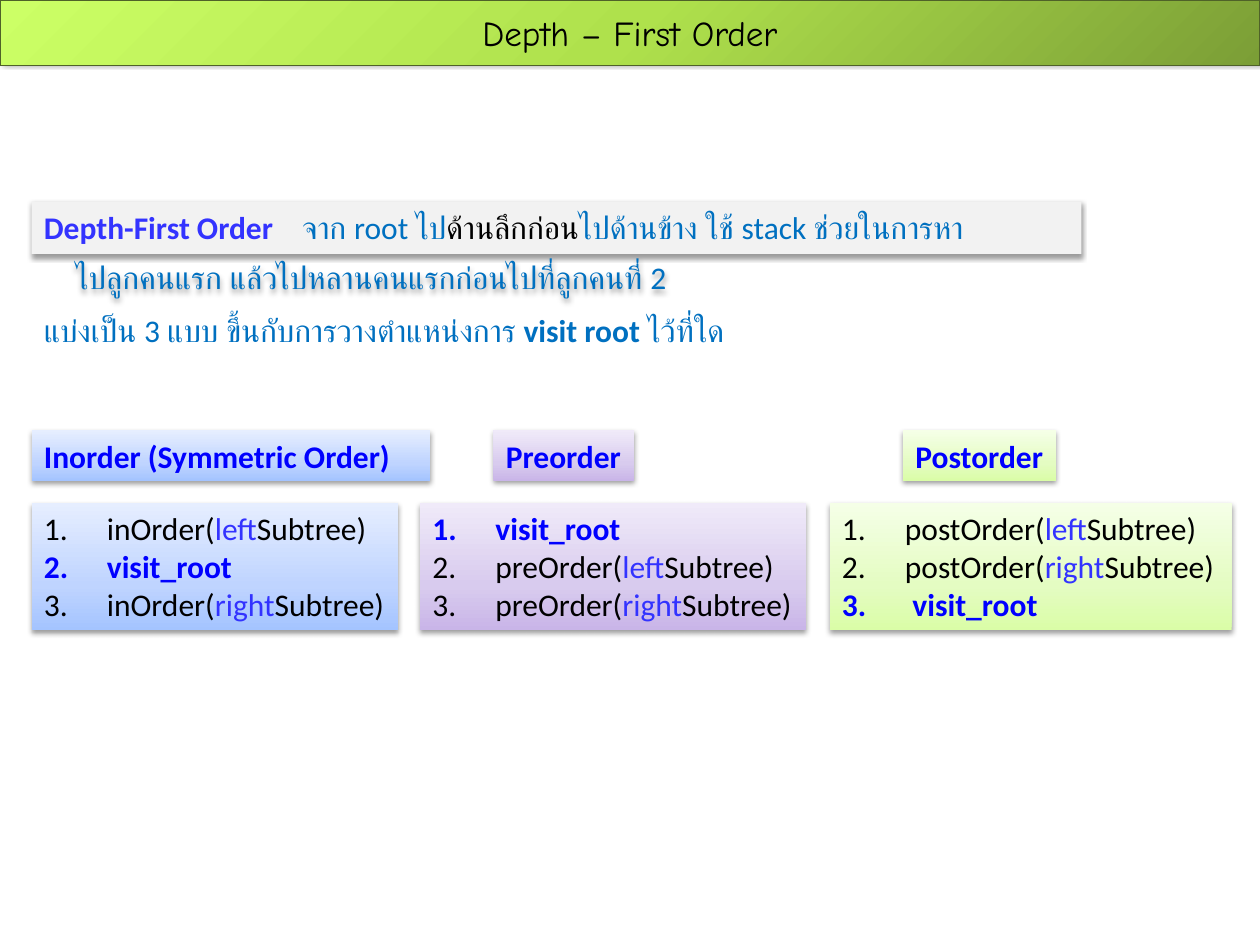
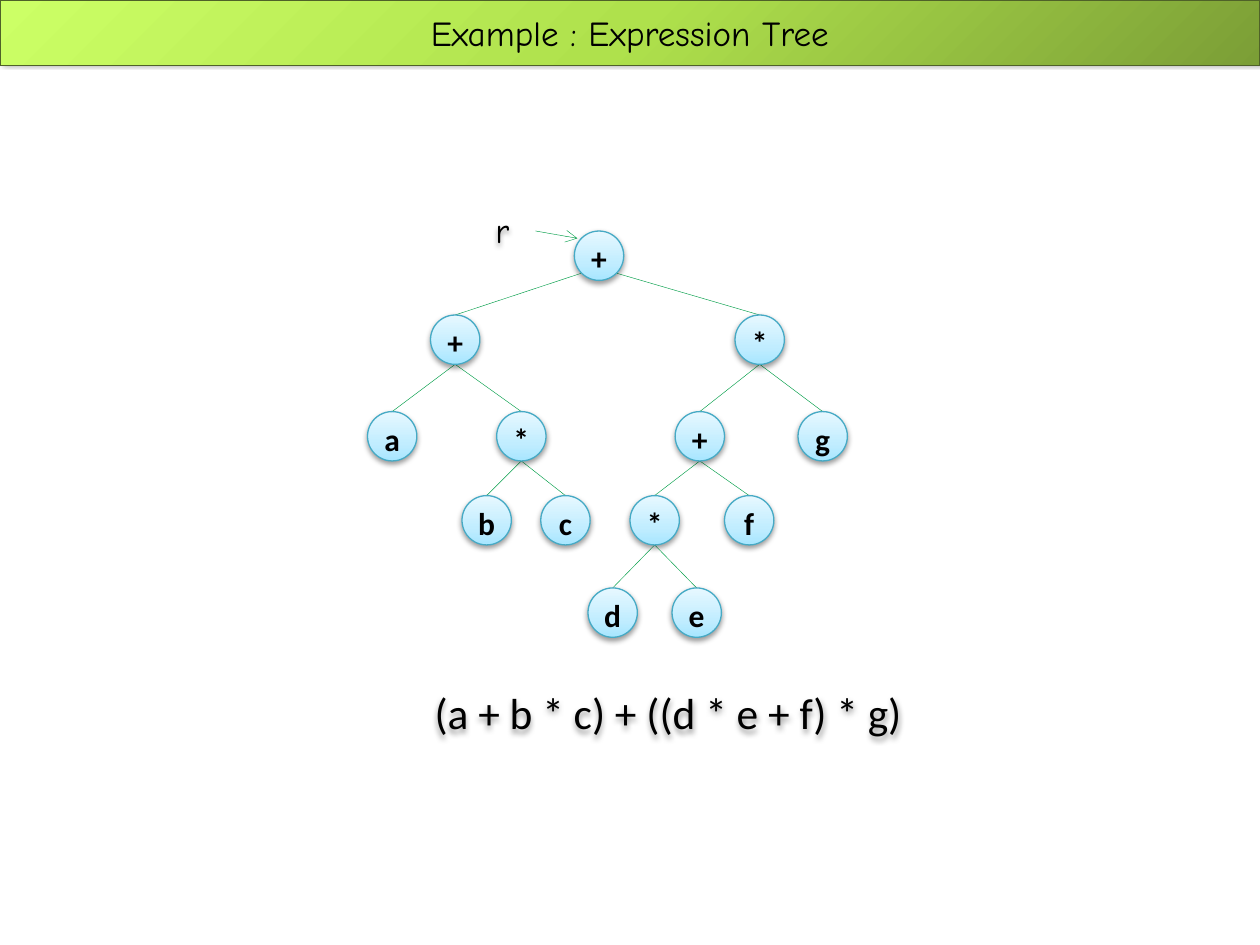
"""Build two slides on depth-first tree traversal and an expression tree."""
from dataclasses import dataclass
from typing import NamedTuple, Optional

from lxml import etree
from pptx import Presentation
from pptx import util as u
from pptx.dml.color import RGBColor
from pptx.enum import shapes, text
from pptx.oxml.ns import qn

CELL = u.Inches(1) / 12
TITLE_ONLY = 5


class Gradient(NamedTuple):
    stops: tuple[tuple[int, str], ...]
    radial: bool = False


class Shadow(NamedTuple):
    opacity: int
    blur: float
    distance: float
    angle: int


class Box(NamedTuple):
    left: float
    top: float
    width: float
    height: float


class Span(NamedTuple):
    text: str
    color: str
    bold: bool = False


def soft_gradient(low: str, middle: str, high: str) -> Gradient:
    return Gradient(((0, low), (35, middle), (100, high)))


@dataclass(frozen=True)
class Theme:
    body_font: str = "Calibri"
    title_font: str = "Comic Neue"
    body_size: float = 18
    title_size: float = 20
    formula_size: float = 24.8
    ink: str = "000000"
    prose: str = "0070C0"
    term: str = "3333FF"
    accent: str = "0000FF"
    panel: str = "F2F2F2"
    edge: str = "009E47"
    node_line: str = "46AAC5"
    title_line: str = "4F6228"
    band: Gradient = Gradient(((0, "7B9E36"), (50, "AFE14C"), (100, "CCFF66")), True)
    blue: Gradient = soft_gradient("A4C4FF", "BFD4FF", "E6EEFF")
    purple: Gradient = soft_gradient("C9B5E8", "D8CBEE", "F0EAF9")
    green: Gradient = soft_gradient("DAFDA7", "E4FCC2", "F5FFE7")
    aqua: Gradient = soft_gradient("A7E6FF", "C1EDFF", "E7F8FF")
    drop: Shadow = Shadow(38, 3.1, 1.6, 90)
    band_drop: Shadow = Shadow(40, 4, 3, 315)


THEME = Theme()


@dataclass(frozen=True)
class Traversal:
    heading: str
    heading_left: float
    heading_width: float
    left: float
    width: float
    fill: Gradient
    call: str
    visit_at: int
    visit_indent: float = 0.5


@dataclass(frozen=True)
class Node:
    label: str
    left: float
    level: int
    parent: Optional[int] = None


TRAVERSALS = (
    Traversal("Inorder (Symmetric Order)", 3, 38, 3, 34.9, THEME.blue, "inOrder", 1),
    Traversal("Postorder", 86, 14.6, 79, 38.3, THEME.green, "postOrder", 2, 0.56),
    Traversal("Preorder", 47, 13.4, 40, 36.8, THEME.purple, "preOrder", 0),
)
LEVEL_TOPS = (22, 30, 39.2, 47.2, 56)
NODE_SIZE = 4.7
NODES = (
    Node("+", 54.7, 0),
    Node("+", 41, 1, 0),
    Node("*", 70, 1, 0),
    Node("a", 35, 2, 1),
    Node("*", 47.3, 2, 1),
    Node("+", 64.3, 2, 2),
    Node("g", 76, 2, 2),
    Node("b", 44, 3, 4),
    Node("c", 51.5, 3, 4),
    Node("*", 60, 3, 5),
    Node("f", 69, 3, 5),
    Node("d", 56, 4, 9),
    Node("e", 64, 4, 9),
)


def cells(count: float) -> u.Emu:
    """Turn grid cells into a length."""
    return u.Emu(round(count * CELL))


def place(box: Box) -> tuple[u.Emu, ...]:
    """Turn a grid box into left, top, width and height."""
    return tuple(cells(value) for value in box)


def add_element(parent, tag: str, **attributes):
    """Append a drawing element with its attributes."""
    values = {name: str(value) for name, value in attributes.items()}
    return etree.SubElement(parent, qn(tag), values)


def set_fill(shape, fill) -> None:
    """Fill a shape with a colour, a gradient or nothing."""
    if isinstance(fill, str):
        shape.fill.solid()
        shape.fill.fore_color.rgb = RGBColor.from_string(fill)
        return
    shape.fill.background()
    if fill is None:
        return
    empty = shape._element.spPr.find(qn("a:noFill"))
    gradient = add_element(shape._element.spPr, "a:gradFill", rotWithShape=1)
    stops = add_element(gradient, "a:gsLst")
    for position, color in fill.stops:
        stop = add_element(stops, "a:gs", pos=position * 1000)
        add_element(stop, "a:srgbClr", val=color)
    if fill.radial:
        focus = add_element(gradient, "a:path", path="circle")
        add_element(focus, "a:fillToRect", l=100000, t=100000)
    else:
        add_element(gradient, "a:lin", ang=270 * 60000, scaled=0)
    empty.getparent().replace(empty, gradient)


def set_line(shape, color: Optional[str], width: float = 0.75) -> None:
    """Outline a shape, or leave it without an outline."""
    if color is None:
        shape.line.fill.background()
        return
    shape.line.color.rgb = RGBColor.from_string(color)
    shape.line.width = u.Pt(width)


def set_shadow(shape, shadow: Optional[Shadow]) -> None:
    """Give a shape the shadow described, or none."""
    shape.shadow.inherit = False
    if shadow is None:
        return
    effects = shape._element.spPr.find(qn("a:effectLst"))
    outer = add_element(
        effects, "a:outerShdw", blurRad=u.Pt(shadow.blur), dist=u.Pt(shadow.distance),
        dir=shadow.angle * 60000, rotWithShape=0)
    color = add_element(outer, "a:srgbClr", val=THEME.ink)
    add_element(color, "a:alpha", val=shadow.opacity * 1000)


def write(para, words: str, *, color: str = THEME.ink, bold: bool = False,
          size: float = THEME.body_size, font: str = THEME.body_font) -> None:
    """Add formatted text to a paragraph."""
    span = para.add_run()
    span.text = words
    span.font.name, span.font.size, span.font.bold = font, u.Pt(size), bold
    span.font.color.rgb = RGBColor.from_string(color)


def write_spans(para, *spans: Span) -> None:
    """Add a left-aligned series of spans to a paragraph."""
    para.alignment = text.PP_ALIGN.LEFT
    for span in spans:
        write(para, span.text, color=span.color, bold=span.bold)


def add_panel(page, box: Box, fill):
    """Draw a shadowed rectangle ready for left-aligned text."""
    panel = page.shapes.add_shape(shapes.MSO_SHAPE.RECTANGLE, *place(box))
    set_fill(panel, fill)
    set_line(panel, None)
    set_shadow(panel, THEME.drop)
    frame = panel.text_frame
    frame.word_wrap, frame.margin_right = True, 0
    frame.vertical_anchor = text.MSO_ANCHOR.TOP
    return panel


def add_text(page, box: Box, shadow: Optional[Shadow] = None):
    """Add an empty wrapping text box and return its first paragraph."""
    label = page.shapes.add_textbox(*place(box))
    label.text_frame.word_wrap = True
    set_fill(label, None)
    set_shadow(label, shadow)
    return label.text_frame.paragraphs[0]


def add_page(deck, heading: str):
    """Add a slide with the shared title band."""
    page = deck.slides.add_slide(deck.slide_layouts[TITLE_ONLY])
    title = page.shapes.title
    title.left, title.top, title.width, title.height = place(Box(0, 0, 120, 6.25))
    set_fill(title, THEME.band)
    set_line(title, THEME.title_line)
    set_shadow(title, THEME.band_drop)
    title.text_frame.vertical_anchor = text.MSO_ANCHOR.MIDDLE
    title.text_frame.auto_size = text.MSO_AUTO_SIZE.NONE
    para = title.text_frame.paragraphs[0]
    para.alignment = text.PP_ALIGN.CENTER
    write(para, heading, size=THEME.title_size, font=THEME.title_font)
    return page


def add_traversal(page, order: Traversal) -> None:
    """Draw a traversal's heading and its numbered steps."""
    heading = add_panel(page, Box(order.heading_left, 41, order.heading_width, 4.8), order.fill)
    write_spans(heading.text_frame.paragraphs[0], Span(order.heading, THEME.accent, True))
    steps = [
        (Span(f"{order.call}(", THEME.ink), Span(side, THEME.term), Span("Subtree)", THEME.ink))
        for side in ("left", "right")
    ]
    steps.insert(order.visit_at, (Span("visit_root", THEME.accent, True),))
    frame = add_panel(page, Box(order.left, 47.9, order.width, 12.1), order.fill).text_frame
    for index, step in enumerate(steps):
        para = frame.add_paragraph() if index else frame.paragraphs[0]
        indent = u.Inches(order.visit_indent if index == order.visit_at else 0.5)
        layout = para._p.get_or_add_pPr()
        layout.set("marL", str(indent))
        layout.set("indent", str(-indent))
        add_element(layout, "a:buFont", typeface="+mj-lt")
        add_element(layout, "a:buAutoNum", type="arabicPeriod")
        write_spans(para, *step)


def add_edge(page, start: tuple[float, float], end: tuple[float, float]):
    """Draw a thin straight edge between two grid points."""
    points = [cells(value) for value in (*start, *end)]
    edge = page.shapes.add_connector(shapes.MSO_CONNECTOR.STRAIGHT, *points)
    set_line(edge, THEME.edge, 0.25)
    add_element(edge._element.spPr, "a:effectLst")
    return edge


def add_node(page, node: Node) -> None:
    """Draw a labelled tree node."""
    box = Box(node.left, LEVEL_TOPS[node.level], NODE_SIZE, NODE_SIZE)
    circle = page.shapes.add_shape(shapes.MSO_SHAPE.OVAL, *place(box))
    set_fill(circle, THEME.aqua)
    set_line(circle, THEME.node_line)
    set_shadow(circle, THEME.drop)
    frame = circle.text_frame
    frame.margin_left = frame.margin_right = frame.margin_bottom = 0
    frame.margin_top = u.Inches(0.04)
    frame.vertical_anchor = text.MSO_ANCHOR.MIDDLE
    frame.paragraphs[0].alignment = text.PP_ALIGN.CENTER
    write(frame.paragraphs[0], node.label, bold=True)


def link_to_parent(page, node: Node, parent: Node) -> None:
    """Join a node's top to the lower side of its parent."""
    radius = NODE_SIZE / 2
    x, y = parent.left + radius, LEVEL_TOPS[parent.level] + NODE_SIZE
    if parent.parent is None:
        x += math_side(node, parent) * radius * 0.71
        y -= radius * 0.29
    add_edge(page, (x, y), (node.left + radius, LEVEL_TOPS[node.level]))


def math_side(node: Node, parent: Node) -> int:
    """Tell whether a node lies left (-1) or right (1) of its parent."""
    return -1 if node.left < parent.left else 1


def build_order_page(deck) -> None:
    """Explain depth-first order and its three variants."""
    page = add_page(deck, "Depth – First Order")
    write_spans(add_text(page, Box(3, 29, 77, 4.8)),
                Span("แบ่งเป็น 3 แบบ ขึ้นกับการวางตำแหน่งการ ", THEME.prose),
                Span("visit root ", THEME.prose, True), Span("ไว้ที่ใด", THEME.prose))
    para = add_panel(page, Box(3, 19.2, 100, 5), THEME.panel).text_frame.paragraphs[0]
    tabs = add_element(para._p.get_or_add_pPr(), "a:tabLst")
    add_element(tabs, "a:tab", pos=u.Inches(2.05), algn="l")
    write_spans(para, Span("Depth-First Order\t", THEME.term, True),
                Span("จาก root ไป", THEME.prose), Span("ด้านลึกก่อน", THEME.ink),
                Span("ไปด้านข้าง ใช้ stack ช่วยในการหา", THEME.prose))
    for order in TRAVERSALS:
        add_traversal(page, order)
    write_spans(add_text(page, Box(6, 24, 72, 4.8), THEME.drop),
                Span("ไปลูกคนแรก แล้วไปหลานคนแรกก่อนไปที่ลูกคนที่ 2", THEME.prose))


def build_tree_page(deck) -> None:
    """Draw the expression tree and its formula."""
    page = add_page(deck, "Example : Expression Tree")
    write(add_text(page, Box(46, 19.3, 5, 5.3), THEME.drop), "r",
          size=THEME.title_size, font=THEME.title_font)
    pointer = add_edge(page, (51, 22), (55, 22.7))
    add_element(pointer.line._get_or_add_ln(), "a:tailEnd", type="arrow")
    for node in NODES:
        if node.parent is not None:
            link_to_parent(page, node, NODES[node.parent])
    for node in NODES:
        add_node(page, node)
    write(add_text(page, Box(40.2, 64.8, 50.8, 5.5), THEME.drop),
          "(a + b * c) + ((d * e + f) * g)", size=THEME.formula_size)


def main() -> None:
    """Build and save the deck."""
    deck = Presentation()
    deck.slide_width, deck.slide_height = cells(120), cells(90)
    build_order_page(deck)
    build_tree_page(deck)
    deck.save("out.pptx")


if __name__ == "__main__":
    main()
